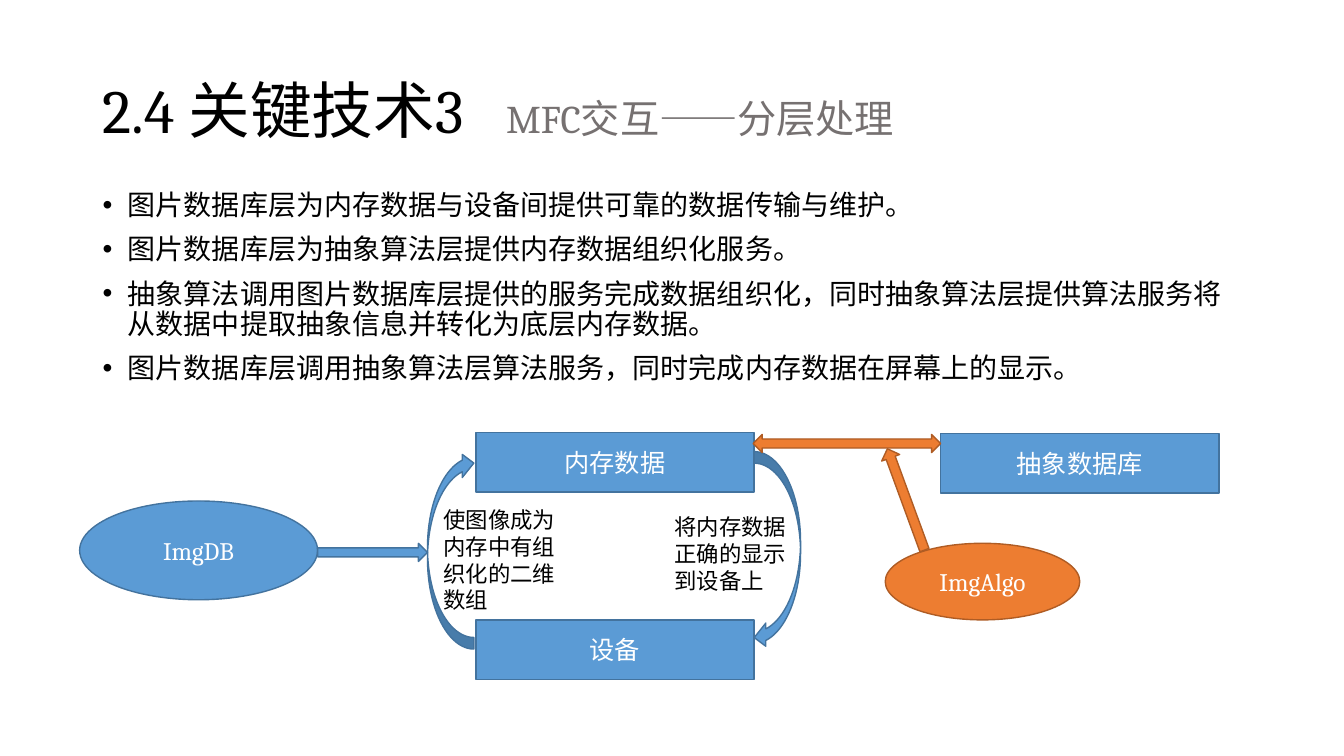
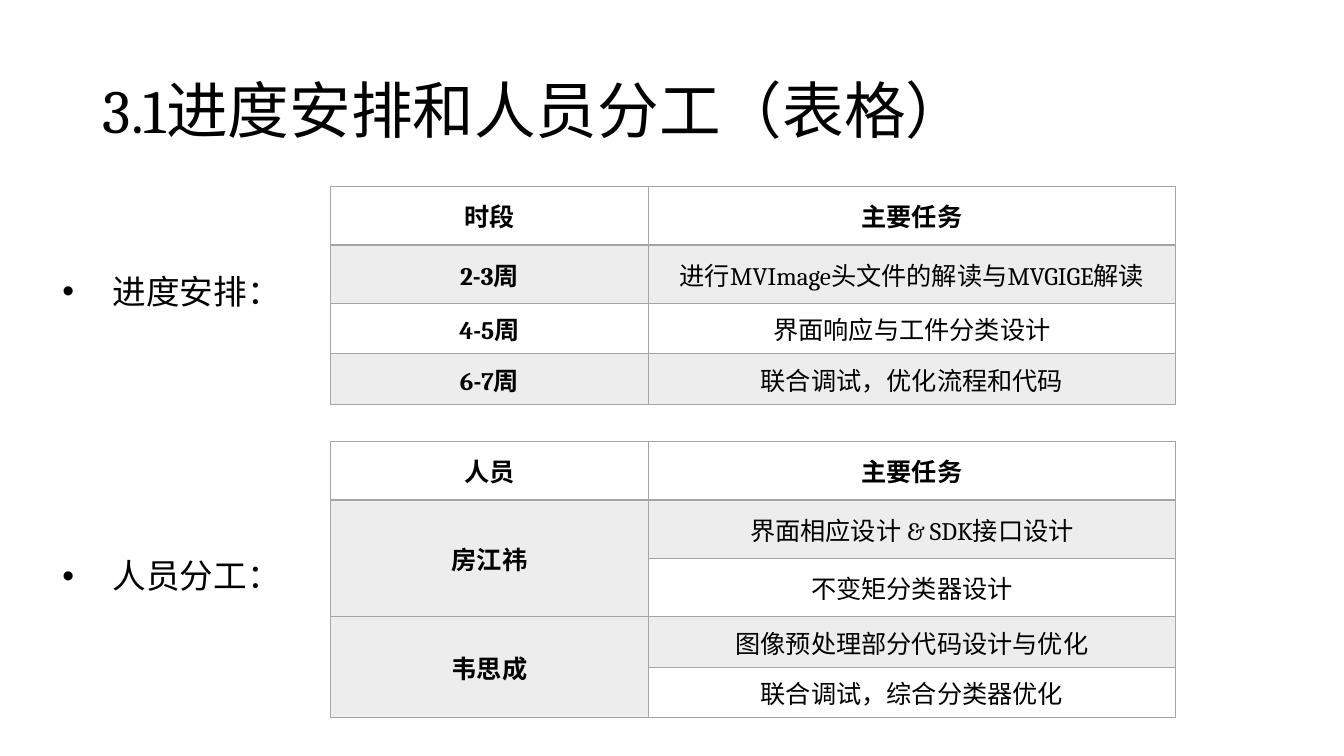
from lxml.etree import SubElement
from pptx import Presentation
from pptx.dml.color import RGBColor
from pptx.enum.shapes import MSO_SHAPE
from pptx.enum.text import MSO_ANCHOR, MSO_AUTO_SIZE, PP_ALIGN
from pptx.oxml.ns import qn
from pptx.util import Inches, Pt

COLORS = {
    "text": "000000", "subtitle": "767171", "white": "FFFFFF",
    "blue": "5B9BD5", "blue_edge": "43739E",
    "orange": "ED7D31", "orange_edge": "AF5C24",
    "grid": "A5A5A5", "band": "EDEDED",
}
SERIF = "Cambria"


def add_run(paragraph, text, size, color="text", font=SERIF, bold=False):
    run = paragraph.add_run()
    run.text = text
    run.font.size = Pt(size)
    run.font.name = font
    run.font.bold = bold
    run.font.color.rgb = RGBColor.from_string(COLORS[color])


def set_bullet(paragraph, indent):
    """Give the paragraph a round bullet with a hanging indent in inches."""
    props = paragraph._p.get_or_add_pPr()
    props.set("marL", str(Inches(indent)))
    props.set("indent", str(-Inches(indent)))
    SubElement(props, qn("a:buFont")).set("typeface", "Arial")
    SubElement(props, qn("a:buChar")).set("char", "•")


prs = Presentation()
prs.slide_width, prs.slide_height = Inches(13.33), Inches(7.5)

# Slides and titles
titles = [
    [("2.4 关键技术3\t", 44, "text"), ("MFC交互——分层处理", 28, "subtitle")],
    [("3.1进度安排和人员分工（表格）", 44, "text")],
]
slides = []
for title_runs in titles:
    slide = prs.slides.add_slide(prs.slide_layouts[5])
    slides.append(slide)
    title = slide.shapes.title
    title.left, title.top = Inches(0.92), Inches(0.4)
    title.width, title.height = Inches(11.5), Inches(1.45)
    frame = title.text_frame
    frame.auto_size = MSO_AUTO_SIZE.NONE
    frame.vertical_anchor = MSO_ANCHOR.MIDDLE
    heading = frame.paragraphs[0]
    heading.alignment = PP_ALIGN.LEFT
    heading.line_spacing = 0.9
    for text, size, color in title_runs:
        add_run(heading, text, size, color)
layers, schedule = slides

# Slide 1: layer descriptions
points = [
    "图片数据库层为内存数据与设备间提供可靠的数据传输与维护。",
    "图片数据库层为抽象算法层提供内存数据组织化服务。",
    "抽象算法调用图片数据库层提供的服务完成数据组织化，同时抽象算法层提供算法服务将从数据中提取抽象信息并转化为底层内存数据。",
    "图片数据库层调用抽象算法层算法服务，同时完成内存数据在屏幕上的显示。",
]
frame = layers.shapes.add_textbox(
    Inches(0.92), Inches(1.85), Inches(11.5), Inches(2.16)).text_frame
frame.word_wrap = True
for index, point in enumerate(points):
    paragraph = frame.paragraphs[0] if index == 0 else frame.add_paragraph()
    paragraph.line_spacing = 0.9
    paragraph.space_before = Pt(10)
    set_bullet(paragraph, 0.25)
    add_run(paragraph, point, 20, font="Arial")

# Slide 1: diagram, as preset, place, colour, label, rotation, vertical flip
diagram = [
    (MSO_SHAPE.OVAL, (0.79, 4.97, 2.36, 0.98), "blue", "ImgDB", 0, False),
    (MSO_SHAPE.RECTANGLE, (4.72, 4.29, 2.76, 0.59), "blue", "内存数据", 0, False),
    (MSO_SHAPE.RECTANGLE, (4.72, 6.15, 2.76, 0.59), "blue", "设备", 0, False),
    (MSO_SHAPE.RECTANGLE, (9.33, 4.3, 2.76, 0.59), "blue", "抽象数据库", 0, False),
    (MSO_SHAPE.OVAL, (8.78, 5.39, 1.93, 0.76), "orange", "ImgAlgo", 0, False),
    (MSO_SHAPE.CURVED_RIGHT_ARROW, (7.48, 4.48, 0.46, 1.96), "blue", "", 180, True),
    (MSO_SHAPE.CURVED_RIGHT_ARROW, (4.24, 4.48, 0.46, 1.96), "blue", "", 0, True),
    (MSO_SHAPE.RIGHT_ARROW, (3.15, 5.39, 1.09, 0.18), "blue", "", 0, False),
    (MSO_SHAPE.LEFT_RIGHT_ARROW, (7.47, 4.31, 1.86, 0.18), "orange", "", 0, False),
    (MSO_SHAPE.LEFT_ARROW, (8.45, 4.86, 1.07, 0.19), "orange", "", 69.9, False),
]
for preset, place, color, label, rotation, flipped in diagram:
    part = layers.shapes.add_shape(preset, *map(Inches, place))
    part.shadow.inherit = False
    part.fill.solid()
    part.fill.fore_color.rgb = RGBColor.from_string(COLORS[color])
    part.line.color.rgb = RGBColor.from_string(COLORS[color + "_edge"])
    part.line.width = Pt(1)
    part.rotation = rotation
    if flipped:
        part.element.spPr.find(qn("a:xfrm")).set("flipV", "1")
    if label:
        part.text_frame.vertical_anchor = MSO_ANCHOR.MIDDLE
        paragraph = part.text_frame.paragraphs[0]
        paragraph.alignment = PP_ALIGN.CENTER
        add_run(paragraph, label, 18, "white")

flow_notes = [
    ((6.59, 5.04, 1.35, 0.91), "将内存数据正确的显示到设备上"),
    ((4.3, 4.97, 1.45, 1.18), "使图像成为内存中有组织化的二维数组"),
]
for place, note in flow_notes:
    frame = layers.shapes.add_textbox(*map(Inches, place)).text_frame
    frame.word_wrap = True
    add_run(frame.paragraphs[0], note, 16, font="League Spartan")

# Slide 2: tables; None continues the cell above
plans = [
    (1.85, [0.58, 0.58, 0.5, 0.5], [
        ("时段", "主要任务"),
        ("2-3周", "进行MVImage头文件的解读与MVGIGE解读"),
        ("4-5周", "界面响应与工件分类设计"),
        ("6-7周", "联合调试，优化流程和代码"),
    ]),
    (4.38, [0.58, 0.58, 0.58, 0.5, 0.5], [
        ("人员", "主要任务"),
        ("房江祎", "界面相应设计 & SDK接口设计"),
        (None, "不变矩分类器设计"),
        ("韦思成", "图像预处理部分代码设计与优化"),
        (None, "联合调试，综合分类器优化"),
    ]),
]
for top, heights, rows in plans:
    table = schedule.shapes.add_table(
        len(rows), 2, Inches(3.28), Inches(top),
        Inches(8.38), Inches(sum(heights))).table
    table.first_row = table.horz_banding = False
    table.columns[0].width, table.columns[1].width = Inches(3.15), Inches(5.23)
    for r, (height, texts) in enumerate(zip(heights, rows)):
        table.rows[r].height = Inches(height)
        for c, text in enumerate(texts):
            cell = table.cell(r, c)
            cell.vertical_anchor = MSO_ANCHOR.MIDDLE
            heavy_edge = {0: "lnB", 1: "lnT"}.get(r)
            for edge in ("lnL", "lnR", "lnT", "lnB"):
                line = SubElement(cell._tc.get_or_add_tcPr(), qn("a:" + edge))
                line.set("w", str(Pt(2 if edge == heavy_edge else 1)))
                fill = SubElement(line, qn("a:solidFill"))
                SubElement(fill, qn("a:srgbClr")).set("val", COLORS["grid"])
            cell.fill.solid()
            shade = "band" if r % 2 else "white"
            cell.fill.fore_color.rgb = RGBColor.from_string(COLORS[shade])
            if text is None:
                table.cell(r - 1, c).merge(cell)
                continue
            paragraph = cell.text_frame.paragraphs[0]
            paragraph.alignment = PP_ALIGN.CENTER
            add_run(paragraph, text, 18, bold=r == 0 or c == 0)

# Slide 2: table labels
for top, label in [(2.64, "进度安排："), (5.46, "人员分工：")]:
    frame = schedule.shapes.add_textbox(
        Inches(0.52), Inches(top), Inches(2.39), Inches(0.5)).text_frame
    frame.word_wrap = False
    set_bullet(frame.paragraphs[0], 0.5)
    add_run(frame.paragraphs[0], label, 24)

prs.save("out.pptx")
